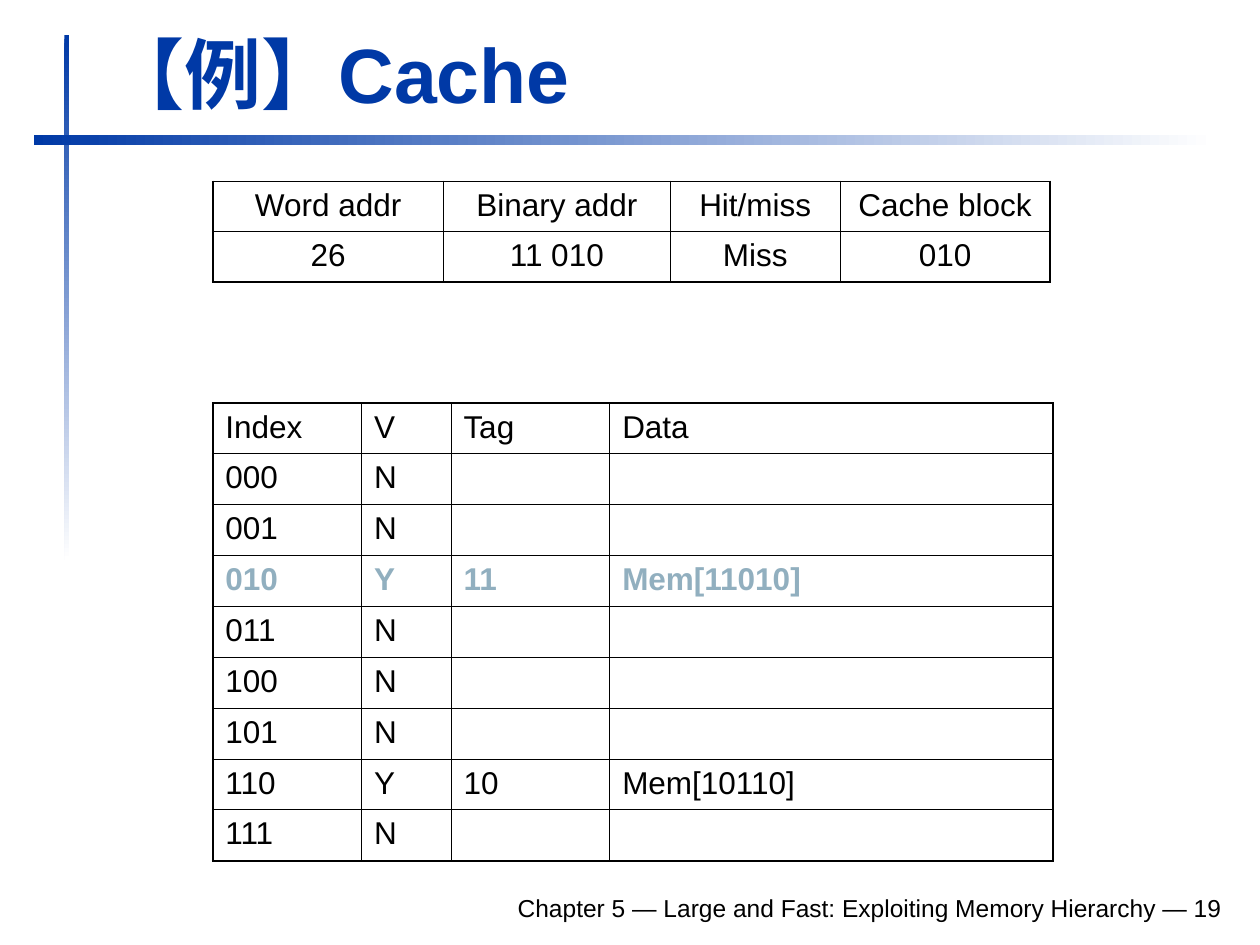
from pptx import Presentation
from pptx.dml.color import RGBColor
from pptx.enum.shapes import MSO_SHAPE
from pptx.enum.text import MSO_ANCHOR, MSO_AUTO_SIZE, PP_ALIGN
from pptx.oxml.ns import qn
from pptx.util import Cm, Pt
from lxml import etree

RECTANGLE = MSO_SHAPE.RECTANGLE
BOTTOM = MSO_ANCHOR.BOTTOM
NO_AUTOFIT = MSO_AUTO_SIZE.NONE
LEFT, CENTER, RIGHT = PP_ALIGN.LEFT, PP_ALIGN.CENTER, PP_ALIGN.RIGHT
TITLE_ONLY = 5
RIGHTWARD, DOWNWARD = 0, 270
OUTER, HEADER, INNER = 1.08, 0.75, 0.45  # rule widths in points


def color(value):
    return RGBColor.from_string(value)


def write(frame, text, size=18, fill="000000", bold=False, align=LEFT):
    para = frame.paragraphs[0]
    para.alignment = align
    span = para.add_run()
    span.text = text
    span.font.name = "Arial"
    span.font.size = Pt(size)
    span.font.bold = bold
    span.font.color.rgb = color(fill)


def add_border(cell, side, width):
    line = etree.SubElement(cell._tc.get_or_add_tcPr(), qn(f"a:ln{side}"), w=str(Pt(width)))
    solid = etree.SubElement(line, qn("a:solidFill"))
    etree.SubElement(solid, qn("a:srgbClr"), val="000000")


class CacheSlide:
    blue = "0039A6"
    white = "FFFFFF"
    highlight = "91AFBF"

    def __init__(self, deck):
        self.page = deck.slides.add_slide(deck.slide_layouts[TITLE_ONLY])

    def bar(self, left, top, width, height, angle):
        box = self.page.shapes.add_shape(RECTANGLE, Cm(left), Cm(top), Cm(width), Cm(height))
        box.shadow.inherit = False
        box.line.fill.background()
        box.fill.gradient()
        box.fill.gradient_angle = angle
        for stop, shade in zip(box.fill.gradient_stops, (self.blue, self.white)):
            stop.color.rgb = color(shade)

    def title(self, text, left, top, width, height):
        box = self.page.shapes.title
        box.left, box.top, box.width, box.height = Cm(left), Cm(top), Cm(width), Cm(height)
        self.fit(box.text_frame)
        write(box.text_frame, text, size=44, fill=self.blue, bold=True)

    def footer(self, text, left, top, width, height):
        box = self.page.shapes.add_textbox(Cm(left), Cm(top), Cm(width), Cm(height))
        self.fit(box.text_frame)
        write(box.text_frame, text, size=14, align=RIGHT)

    def fit(self, frame):
        frame.word_wrap = True
        frame.auto_size = NO_AUTOFIT
        frame.vertical_anchor = BOTTOM

    def table(self, rows, left, top, widths, height, align=LEFT, marked=None):
        last_row, last_column = len(rows) - 1, len(widths) - 1
        table = self.page.shapes.add_table(
            len(rows), len(widths), Cm(left), Cm(top), Cm(sum(widths)), Cm(height)).table
        table.first_row = table.horz_banding = False
        for column, width in zip(table.columns, widths):
            column.width = Cm(width)
        for i, row in enumerate(rows):
            for j, text in enumerate(row):
                cell = table.cell(i, j)
                # Heavy outside, medium under the header, thin elsewhere
                add_border(cell, "L", OUTER if j == 0 else INNER)
                add_border(cell, "R", OUTER if j == last_column else INNER)
                add_border(cell, "T", {0: OUTER, 1: HEADER}.get(i, INNER))
                add_border(cell, "B", OUTER if i == last_row else HEADER if i == 0 else INNER)
                cell.fill.background()
                if text:
                    write(cell.text_frame, text, align=align, bold=i == marked,
                          fill=self.highlight if i == marked else "000000")


def main():
    deck = Presentation()
    deck.slide_width, deck.slide_height = Cm(25.4), Cm(19.05)
    slide = CacheSlide(deck)

    # Gradient rules and title
    slide.bar(1.3, 0.71, 0.1, 10.59, DOWNWARD)
    slide.bar(0.69, 2.72, 23.8, 0.2, RIGHTWARD)
    slide.title("【例】Cache", 1.91, 0.41, 22.94, 2.11)

    # Cache state after the access
    stored = {"010": ("11", "Mem[11010]"), "110": ("10", "Mem[10110]")}
    state = [("Index", "V", "Tag", "Data")]
    for number in range(8):
        index = f"{number:03b}"
        valid = "Y" if index in stored else "N"
        state.append((index, valid, *stored.get(index, ("", ""))))
    slide.table(state, 4.29, 8.13, (3, 1.8, 3.2, 8.94), 9.14, marked=3)

    # Memory access
    access = [("Word addr", "Binary addr", "Hit/miss", "Cache block"),
              ("26", "11 010", "Miss", "010")]
    slide.table(access, 4.29, 3.66, (4.65, 4.57, 3.43, 4.22), 2.03, align=CENTER)

    # Footer
    slide.footer("Chapter 5 — Large and Fast: Exploiting Memory Hierarchy — 19",
                 4.7, 17.73, 20.19, 0.99)
    deck.save("out.pptx")


if __name__ == "__main__":
    main()
